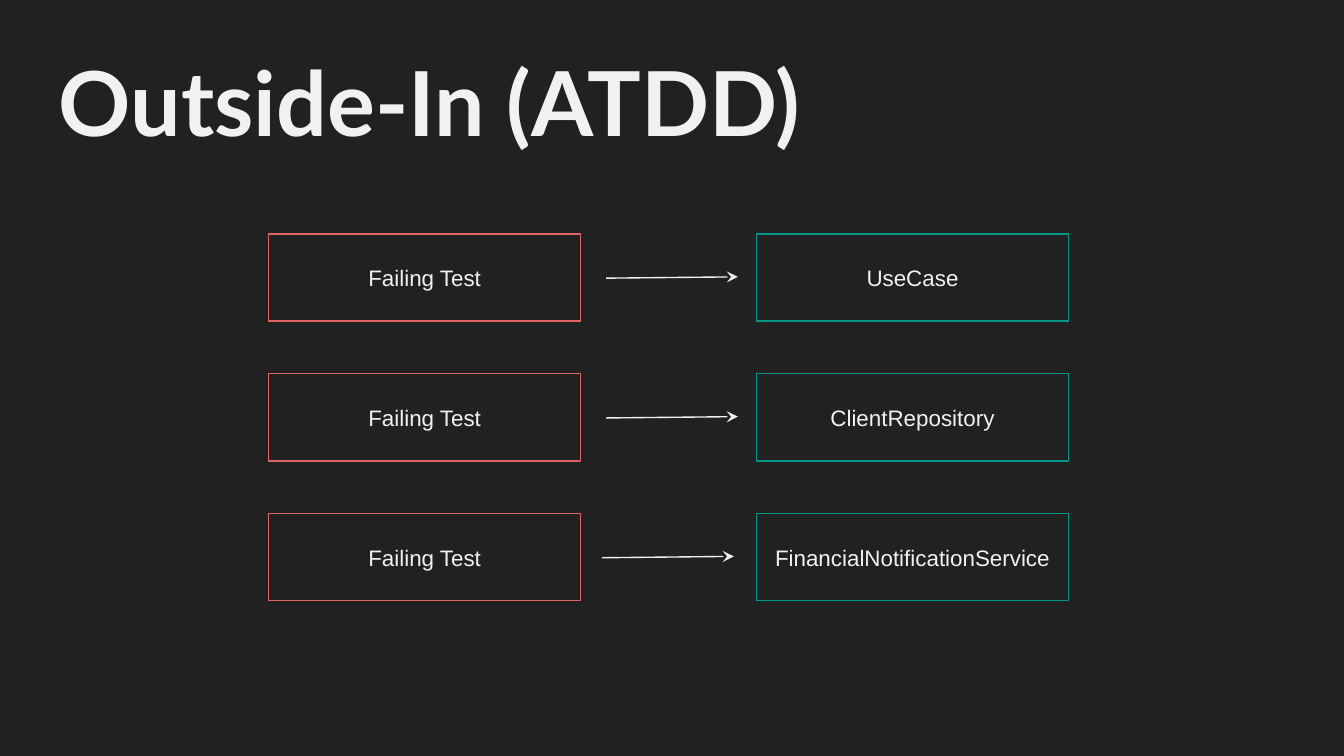
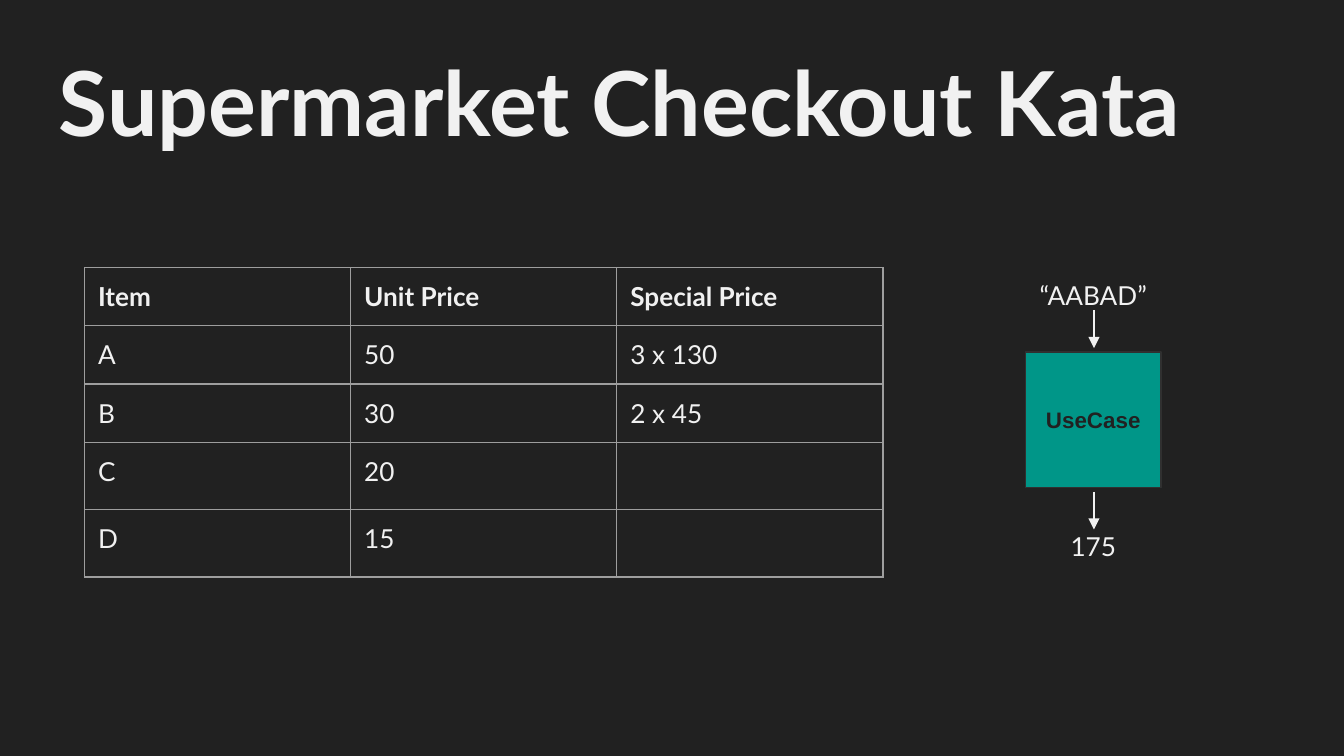
from lxml import etree
from pptx import Presentation
from pptx import util as u
from pptx.dml.color import RGBColor
from pptx.enum import shapes, text
from pptx.oxml import ns

COLORS = {
    "background": "212121",
    "light": "F1F1F1",
    "failing": "E06666",
    "code": "009688",
    "code_edge": "303030",
    "grid": "9E9E9E",
}
HEADING_FONT = "Lato"
BOX_FONT = "Arial"
LINE_WIDTH = u.Pt(0.75)
PADDING = u.Inches(0.1)

STEPS = ["UseCase", "ClientRepository", "FinancialNotificationService"]
ARROW_LEFTS = [4.51, 4.51, 4.48]
PRICES = [
    ["Item", "Unit Price", "Special Price"],
    ["A", "50", "3 x 130"],
    ["B", "30", "2 x 45"],
    ["C", "20", ""],
    ["D", "15", ""],
]


def color(name):
    return RGBColor.from_string(COLORS[name])


def pad(area):
    area.margin_left = area.margin_right = PADDING
    area.margin_top = area.margin_bottom = PADDING


def write(frame, words, size, font=HEADING_FONT, ink="light", bold=False, align=None):
    frame.text = words
    paragraph = frame.paragraphs[0]
    paragraph.alignment = align
    paragraph.font.name = font
    paragraph.font.size = u.Pt(size)
    paragraph.font.bold = bold
    paragraph.font.color.rgb = color(ink)


def add_label(slide, words, left, top, width, height, size, **style):
    label = slide.shapes.add_textbox(*map(u.Inches, (left, top, width, height)))
    label.text_frame.word_wrap = True
    pad(label.text_frame)
    write(label.text_frame, words, size, **style)


def add_titled_slide(deck, title):
    slide = deck.slides.add_slide(deck.slide_layouts[6])
    slide.background.fill.solid()
    slide.background.fill.fore_color.rgb = color("background")
    add_label(slide, title, 0.34, 0.25, 9.86, 1.01, 48, bold=True)
    return slide


def add_box(slide, words, left, top, width, height, edge, fill=None, **style):
    box = slide.shapes.add_shape(
        shapes.MSO_SHAPE.RECTANGLE, *map(u.Inches, (left, top, width, height))
    )
    box.shadow.inherit = False
    box.line.color.rgb = color(edge)
    box.line.width = LINE_WIDTH
    if fill:
        box.fill.solid()
        box.fill.fore_color.rgb = color(fill)
    else:
        box.fill.background()
    frame = box.text_frame
    frame.word_wrap = True
    frame.vertical_anchor = text.MSO_ANCHOR.MIDDLE
    pad(frame)
    write(frame, words, 12, font=BOX_FONT, align=text.PP_ALIGN.CENTER, **style)


def add_arrow(slide, start, end, head):
    arrow = slide.shapes.add_connector(
        shapes.MSO_CONNECTOR.STRAIGHT, *map(u.Inches, (*start, *end))
    )
    arrow.line.color.rgb = color("light")
    arrow.line.width = LINE_WIDTH
    properties = arrow.element.spPr
    etree.SubElement(properties.find(ns.qn("a:ln")), ns.qn("a:tailEnd"), type=head)
    etree.SubElement(properties, ns.qn("a:effectLst"))


def add_borders(cell):
    properties = cell._tc.get_or_add_tcPr()
    for side in ("lnL", "lnR", "lnT", "lnB"):
        border = etree.SubElement(properties, ns.qn(f"a:{side}"), w=str(LINE_WIDTH))
        fill = etree.SubElement(border, ns.qn("a:solidFill"))
        etree.SubElement(fill, ns.qn("a:srgbClr"), val=COLORS["grid"])


def add_price_table(slide, rows, left, top, column_width, row_height):
    columns = len(rows[0])
    table = slide.shapes.add_table(
        len(rows), columns, u.Inches(left), u.Inches(top),
        u.Inches(column_width * columns), u.Inches(row_height * len(rows)),
    ).table
    table.horz_banding = False
    for column in table.columns:
        column.width = u.Inches(column_width)
    for row_index, values in enumerate(rows):
        table.rows[row_index].height = u.Inches(row_height)
        for column_index, value in enumerate(values):
            cell = table.cell(row_index, column_index)
            pad(cell)
            add_borders(cell)
            cell.fill.background()
            if value:
                write(cell.text_frame, value, 14, bold=row_index == 0)


def build_outside_in(deck):
    slide = add_titled_slide(deck, "Outside-In (ATDD)")
    width, height, pitch = 2.32, 0.65, 1.04
    for index, (step, arrow_left) in enumerate(zip(STEPS, ARROW_LEFTS)):
        top = 1.74 + index * pitch
        add_box(slide, "Failing Test", 2, top, width, height, "failing")
        add_box(slide, step, 5.63, top, width, height, "code")
        add_arrow(
            slide, (arrow_left, top + 0.33), (arrow_left + 0.98, top + 0.32), "stealth"
        )


def build_checkout_kata(deck):
    slide = add_titled_slide(deck, "Supermarket Checkout Kata")
    add_price_table(slide, PRICES, 0.63, 1.99, 1.98, 0.42)
    add_box(
        slide, "UseCase", 7.63, 2.62, 1.01, 1.01, "code_edge",
        fill="code", ink="background", bold=True,
    )
    for words, top in (("“AABAD”", 1.98), ("175", 3.85)):
        add_label(slide, words, 7.03, top, 2.21, 0.44, 14, align=text.PP_ALIGN.CENTER)
    for top in (2.31, 3.66):
        add_arrow(slide, (8.14, top), (8.14, top + 0.28), "triangle")


def main():
    deck = Presentation()
    deck.slide_width = u.Inches(10)
    deck.slide_height = deck.slide_width * 9 // 16
    build_outside_in(deck)
    build_checkout_kata(deck)
    deck.save("out.pptx")


if __name__ == "__main__":
    main()
